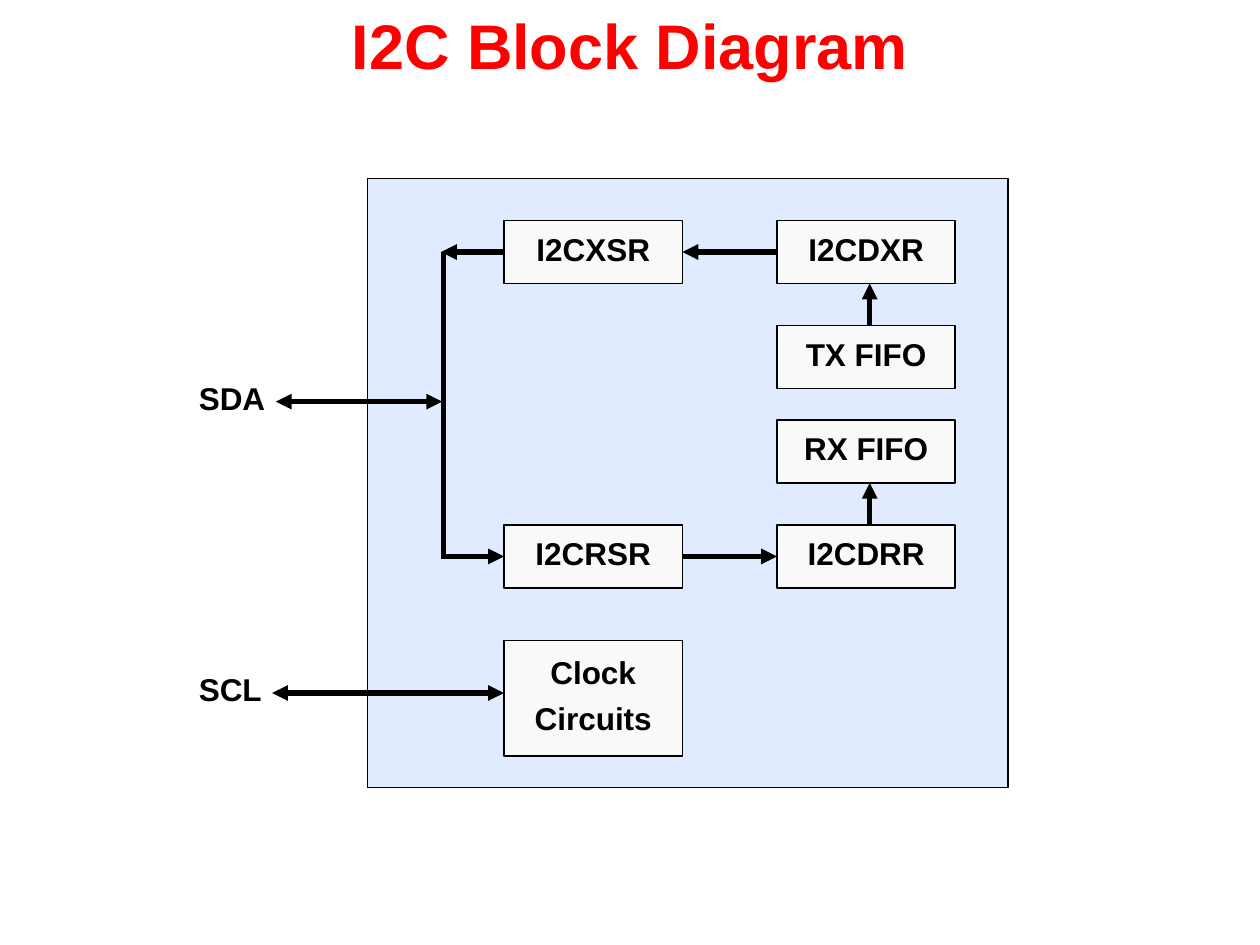
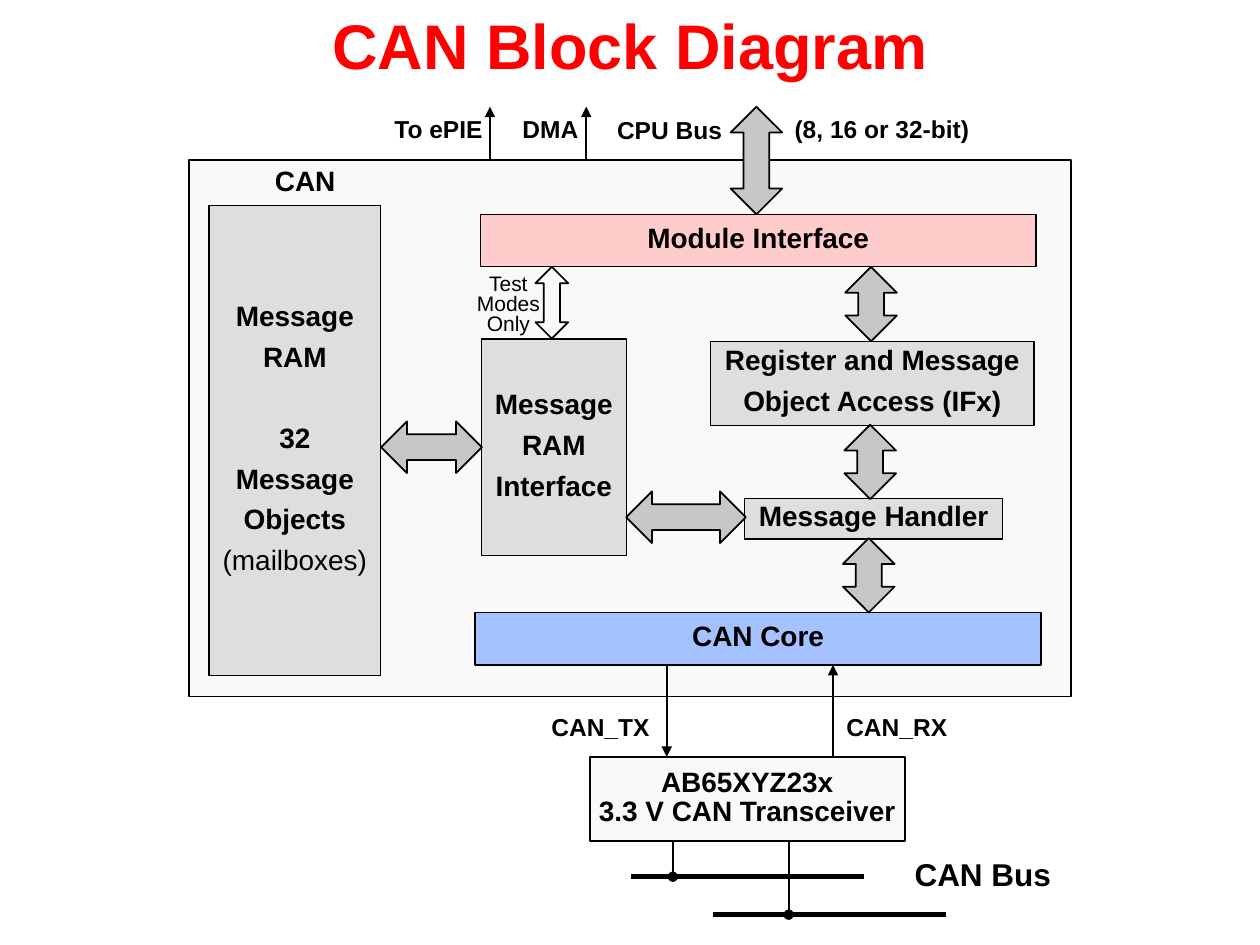
from pptx import Presentation, util as u
from pptx.dml.color import RGBColor
from pptx.enum import shapes as sh, text as tx
from pptx.oxml import ns, xmlchemy as xml

Pt = u.Pt
hue = RGBColor.from_string
FONT = "Arial"
BLACK, RED, PALE = "000000", "FF0000", "F9F9F9"
GREY, STEEL, SKY, BLUE, PINK = "DEDEDE", "C7C7C7", "E0EBFF", "A3C2FF", "FFCCCC"
RECT = sh.MSO_SHAPE.RECTANGLE
TALL, WIDE = sh.MSO_SHAPE.UP_DOWN_ARROW, sh.MSO_SHAPE.LEFT_RIGHT_ARROW
MID, LEFT = tx.PP_ALIGN.CENTER, tx.PP_ALIGN.LEFT


def block(page, at, lines=(), fill=None, kind=RECT, edge=1, size=18, ink=BLACK,
          bold=True, gap=0.5, lead=0.8, align=MID):
    """Add a filled shape, or a plain wrapping text box when there is no fill."""
    at = [Pt(n) for n in at]
    if fill:
        item = page.shapes.add_shape(kind, *at)
        item.shadow.inherit = False
        item.fill.solid()
        item.fill.fore_color.rgb = hue(fill)
        item.line.color.rgb = hue(BLACK)
        item.line.width = Pt(edge)
    else:
        item = page.shapes.add_textbox(*at)
    frame = item.text_frame
    frame.word_wrap = not fill
    frame.vertical_anchor = tx.MSO_ANCHOR.MIDDLE
    for i, line in enumerate(lines):
        para = frame.add_paragraph() if i else frame.paragraphs[0]
        para.alignment = align
        para.line_spacing = lead
        if i:
            para.space_before = Pt(round(gap * size, 1))
        run = para.add_run()
        run.text = line
        font = run.font
        font.name, font.size, font.bold = FONT, Pt(size), bold
        font.color.rgb = hue(ink)
    return item


def wire(page, ends, width=3, head=None, tail=None):
    """Add a straight line with optional end marks."""
    item = page.shapes.add_connector(sh.MSO_CONNECTOR.STRAIGHT, *[Pt(n) for n in ends])
    item.line.color.rgb = hue(BLACK)
    item.line.width = Pt(width)
    props = item._element.find(ns.qn("p:spPr"))
    line = props.find(ns.qn("a:ln"))
    for tag, mark in (("a:headEnd", head), ("a:tailEnd", tail)):
        if mark:
            end = xml.OxmlElement(tag)
            end.set("type", mark)
            line.append(end)
    props.append(xml.OxmlElement("a:effectLst"))


deck = Presentation()
deck.slide_width, deck.slide_height = Pt(720), Pt(540)

# Slides with their shared title
pages = []
for name in ("I2C Block Diagram", "CAN Block Diagram"):
    page = deck.slides.add_slide(deck.slide_layouts[6])
    block(page, (0, 0, 720, 56), [name], size=36, ink=RED, lead=0.9)
    pages.append(page)
i2c, can = pages
ARROW = "triangle"

# I2C: module panel and registers
block(i2c, (210, 102, 366, 348), fill=SKY)
near, far = 288, 444
for name, x, y in (("TX FIFO", far, 186), ("RX FIFO", far, 240),
                   ("I2CDXR", far, 126), ("I2CDRR", far, 300),
                   ("I2CXSR", near, 126), ("I2CRSR", near, 300)):
    block(i2c, (x, y, 102, 36), [name], PALE)
block(i2c, (near, 366, 102, 66), ["Clock", "Circuits"], PALE)

# I2C: data paths
for ends in ((497, 186, 497, 162), (497, 300, 497, 276),
             (far, 144, 390, 144), (390, 318, far, 318),
             (near, 144, 252, 144), (252, 318, near, 318)):
    wire(i2c, ends, tail=ARROW)
wire(i2c, (253.4, 144, 253.4, 318))

# I2C: pins
for name, y, start, end in (("SDA", 229.5, 157.7, 252.7), ("SCL", 396, 155.5, near)):
    wire(i2c, (start, y, end, y), head=ARROW, tail=ARROW)
    block(i2c, (106.5, y - 12.5, 62, 24.5), [name], align=LEFT)

# CAN: module panel and transceiver
block(can, (108, 91.5, 504, 306.5), fill=PALE)
block(can, (337, 432.5, 180, 48), ["AB65XYZ23x", "3.3 V CAN Transceiver"],
      PALE, size=16, gap=0.1)

# CAN: bus lines, each with its drop from the transceiver
for x, y, drop in ((360.7, 501, 384.5), (407.5, 522.7, 450.7)):
    wire(can, (x, y, x + 133.2, y))
    wire(can, (drop, 480.5, drop, y), 1, tail="oval")

# CAN: inner blocks
ram = block(can, (119.5, 117.5, 98, 268.5),
            ["Message", "RAM", "32", "Message", "Objects", "(mailboxes)"],
            GREY, edge=0.75, size=16)
paras = ram.text_frame.paragraphs
paras[2].space_before = Pt(31)
paras[-1].runs[0].font.bold = False
for at, lines, fill in (
        ((271.5, 350, 323.5, 30), ["CAN Core"], BLUE),
        ((275, 193.7, 83, 124), ["Message", "RAM", "Interface"], GREY),
        ((425.5, 285, 147.5, 23), ["Message Handler"], GREY),
        ((406, 195, 185, 48), ["Register and Message", "Object Access (IFx)"], GREY),
        ((274.5, 122.5, 317.5, 30), ["Module Interface"], PINK)):
    block(can, at, lines, fill, edge=0.75, size=16)

# CAN: block arrows
thick = 29.5
for x, y, high in ((483, 152.5, 42.5), (482.5, 242.7, 42.5),
                   (481.7, 307.5, 42.5), (417.5, 61, 61.5)):
    block(can, (x, y, thick, high), fill=STEEL, kind=TALL)
for x, y, wide in ((357.8, 280.8, 68.4), (217.8, 240.8, 57.6)):
    block(can, (x, y, wide, thick), fill=STEEL, kind=WIDE)
block(can, (306, 152.5, 18.7, 41), fill=PALE, kind=TALL)

# CAN: labels, with room to spare on the right
for name, x, y, wide, size in (
        ("CAN_RX", 476.5, 406.5, 82, 14), ("CAN_TX", 308, 406, 82, 14),
        ("CPU Bus", 345.5, 65, 84, 14), ("(8, 16 or 32-bit)", 447, 64.5, 124, 14),
        ("To ePIE", 218.3, 64.5, 75, 14), ("DMA", 291.5, 64.5, 56, 14),
        ("CAN", 150, 93, 60, 16), ("CAN Bus", 515.5, 488, 104, 18)):
    block(can, (x, y, wide, size * 1.5), [name], size=size, align=LEFT)
block(can, (263.5, 153.4, 54, 42.5), ["Test Modes Only"], size=12, bold=False)

# CAN: signal arrows
for ends in ((280, 91.5, 280, 61), (335, 91.5, 335, 61),
             (381, 380, 381, 432.5), (476, 432.5, 476, 380)):
    wire(can, ends, 1, tail=ARROW)

deck.save("out.pptx")
